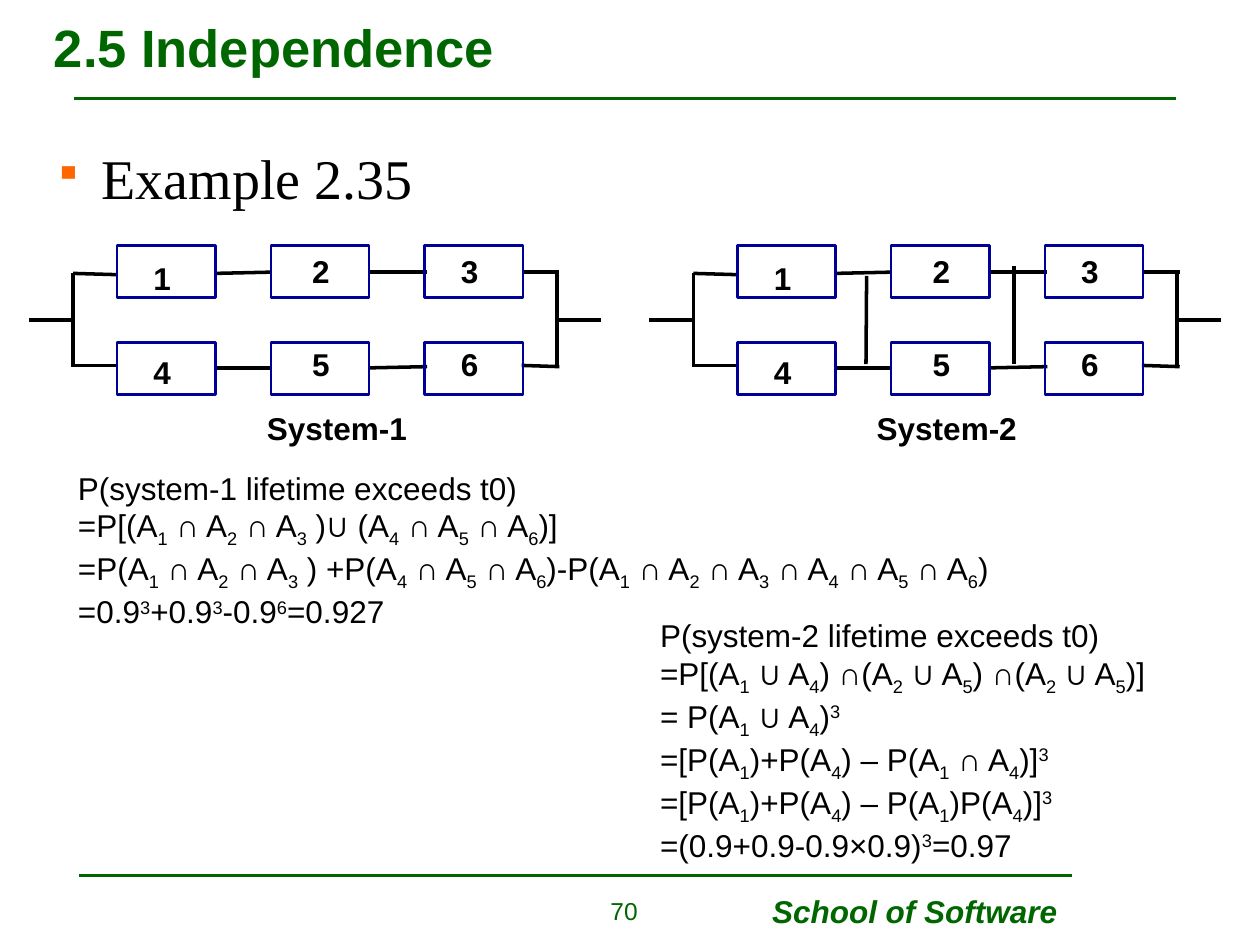
"""Build the slide on independence with two six-part systems."""
from lxml import etree
from pptx import Presentation
from pptx import util as u
from pptx.dml.color import RGBColor
from pptx.enum import shapes, text
from pptx.oxml import ns

GREEN = RGBColor(0x00, 0x66, 0x00)
NAVY = RGBColor(0x00, 0x00, 0x99)
BLACK = RGBColor(0x00, 0x00, 0x00)
ORANGE = RGBColor(0xFF, 0x66, 0x00)

deck = Presentation()
deck.slide_width, deck.slide_height = u.Inches(10), u.Inches(7.5)
COL, ROW = deck.slide_width / 100, deck.slide_height / 75
slide = deck.slides.add_slide(deck.slide_layouts[6])
page = slide.shapes


def draw(home, start, end, color=BLACK, width=2):
    (left, top), (right, low) = start, end
    line = home.add_connector(
        shapes.MSO_CONNECTOR.STRAIGHT,
        int(left * COL), int(top * ROW), int(right * COL), int(low * ROW))
    line.line.color.rgb = color
    line.line.width = u.Pt(width)
    etree.SubElement(line._element.spPr, ns.qn("a:effectLst"))


def write(home, place, lines, size=18, color=BLACK, bold=False, wrap=False, face="Arial"):
    left, top, width, height = place
    box = home.add_textbox(
        int(left * COL), int(top * ROW), int(width * COL), int(height * ROW))
    frame = box.text_frame
    frame.word_wrap = wrap
    frame.auto_size = (text.MSO_AUTO_SIZE.NONE if wrap
                       else text.MSO_AUTO_SIZE.SHAPE_TO_FIT_TEXT)
    for row, line in enumerate(lines):
        para = frame.add_paragraph() if row else frame.paragraphs[0]
        for bit in filter(None, line.split("|")):
            shift = {"_": "-25000", "^": "30000"}.get(bit[0])
            run = para.add_run()
            run.text = bit[1:] if shift else bit
            run.font.name, run.font.size = face, u.Pt(size)
            run.font.bold = bold
            run.font.color.rgb = color
            if shift:
                run.font._element.set("baseline", shift)
    return frame


draw(page, (5.9, 7.8), (93.3, 7.8), GREEN, 1.5)
draw(page, (6.3, 69.5), (85.1, 69.5), GREEN, 1.5)

title = write(page, (3.3, 0.3, 93.4, 6.8), ["2.5 Independence"], 30, GREEN, True, True)
title.vertical_anchor = text.MSO_ANCHOR.MIDDLE
school = write(page, (60.3, 70.3, 28, 4), ["School of Software"], 18, GREEN, True, True)
school.paragraphs[0].runs[0].font.italic = True
number = write(page, (41.4, 70.6, 10.2, 3.6), ["70"], 14, GREEN, wrap=True)
number.paragraphs[0].alignment = text.PP_ALIGN.RIGHT

topic = write(page, (3.3, 10.9, 93.4, 57.8), ["Example 2.35"], 32,
              wrap=True, face="Times New Roman")
topic.margin_top = int(0.5 * ROW)
props = topic.paragraphs[0]._p.get_or_add_pPr()
props.set("marL", str(int(3.8 * COL)))
props.set("indent", str(int(-3.8 * COL)))
tint = etree.SubElement(props, ns.qn("a:buClr"))
etree.SubElement(tint, ns.qn("a:srgbClr")).set("val", str(ORANGE))
etree.SubElement(props, ns.qn("a:buSzPct")).set("val", "70000")
etree.SubElement(props, ns.qn("a:buChar")).set("char", "▪")

write(page, (5.2, 36.7, 75.5, 13.8), [
    "P(system-1 lifetime exceeds t0)",
    "=P[(A|_1| ∩ A|_2| ∩ A|_3| )∪ (A|_4| ∩ A|_5| ∩ A|_6|)]",
    "=P(A|_1| ∩ A|_2| ∩ A|_3| ) +P(A|_4| ∩ A|_5| ∩ A|_6|)-P(A|_1"
    "| ∩ A|_2| ∩ A|_3| ∩ A|_4| ∩ A|_5| ∩ A|_6|)",
    "=0.9|^3|+0.9|^3|-0.9|^6|=0.927",
])
write(page, (51.4, 48.4, 40.9, 20.7), [
    "P(system-2 lifetime exceeds t0)",
    "=P[(A|_1| ∪ A|_4|) ∩(A|_2| ∪ A|_5|) ∩(A|_2| ∪ A|_5|)]",
    "= P(A|_1| ∪ A|_4|)|^3",
    "=[P(A|_1|)+P(A|_4|) – P(A|_1| ∩ A|_4|)]|^3",
    "=[P(A|_1|)+P(A|_4|) – P(A|_1|)P(A|_4|)]|^3",
    "=(0.9+0.9-0.9×0.9)|^3|=0.97",
])

WIRES = [
    ((5.8, 21.7), (9.3, 21.8)), ((5.8, 29), (9.3, 29)),
    ((17.1, 21.7), (21.5, 21.6)), ((17.1, 29.2), (21.5, 29.2)),
    ((29.3, 21.6), (33.9, 21.6)), ((29.3, 29.2), (33.9, 29.1)),
    ((41.4, 21.6), (44.4, 21.6)), ((41.4, 29), (44.4, 29.1)),
    ((5.8, 29.1), (5.8, 21.7)), ((44.2, 29), (44.2, 21.7)),
    ((2.3, 25.4), (5.8, 25.4)), ((44.2, 25.4), (47.7, 25.4)),
]
LINKS = [((19.55, 21.9), (19.5, 28.9)), ((31.25, 21.1), (31.25, 28.9))]
SPOTS = [(11.2, 0.6), (23.8, 0), (35.6, 0)]

for name, shift, label, wires in [
        ("System-1", 0, 20.2, WIRES), ("System-2", 49.23, 68.6, LINKS + WIRES)]:
    group = page.add_group_shape().shapes
    for (left, top), (right, low) in wires:
        draw(group, (left + shift, top), (right + shift, low))
    for part in range(6):
        tier, step = divmod(part, 3)
        block = group.add_shape(
            shapes.MSO_SHAPE.RECTANGLE,
            int((9.3 + 12.2 * step + shift) * COL), int((19.5 + 7.7 * tier) * ROW),
            int(7.8 * COL), int(4.1 * ROW))
        block.shadow.inherit = False
        block.fill.background()
        block.line.color.rgb = NAVY
        block.line.width = u.Pt(1.5)
        left, drop = SPOTS[step]
        write(group, (left + shift, 19.5 + 7.4 * tier + drop, 3.4, 4),
              [str(part + 1)], bold=True)
    write(group, (label, 32, 13.1, 4), [name], bold=True)

deck.save("out.pptx")
